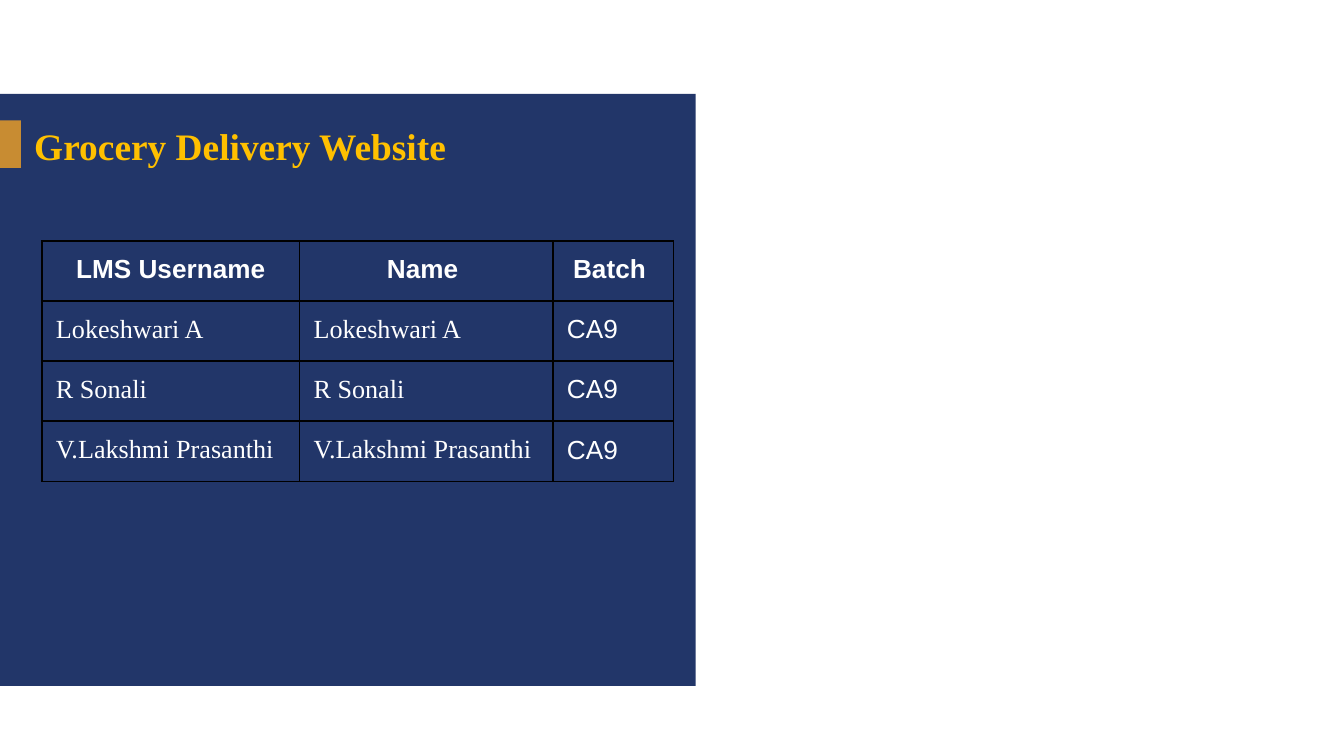
from lxml.etree import SubElement
from pptx import Presentation
from pptx.dml.color import RGBColor
from pptx.enum.shapes import MSO_SHAPE
from pptx.enum.text import MSO_ANCHOR, PP_ALIGN
from pptx.oxml.ns import qn
from pptx.util import Pt

PX = 9525  # EMU per px, 96 px to the inch
NAVY = RGBColor(0x22, 0x36, 0x69)
GOLD = RGBColor(0xC8, 0x8C, 0x32)
AMBER = RGBColor(0xFF, 0xC0, 0x00)
WHITE = RGBColor(0xFF, 0xFF, 0xFF)
BLACK = RGBColor(0x00, 0x00, 0x00)
SANS, SERIF = "Arial", "Times New Roman"

HEADS = ["LMS Username", "Name ", "Batch "]
NAMES = ["Lokeshwari A", "R Sonali", "V.Lakshmi Prasanthi"]
COLS = [184, 181, 86]
ROW = 43


def px(*vals):
    return [val * PX for val in vals]


def style(para, face, size, color, bold=False):
    font = para.font
    font.name, font.size, font.bold = face, Pt(size), bold
    font.color.rgb = color


def add_block(slide, box, color):
    block = slide.shapes.add_shape(MSO_SHAPE.RECTANGLE, *px(*box))
    block.shadow.inherit = False
    block.fill.solid()
    block.fill.fore_color.rgb = color
    block.line.fill.background()


def add_title(slide, box, text):
    frame = slide.shapes.add_textbox(*px(*box)).text_frame
    frame.word_wrap = True
    frame.vertical_anchor = MSO_ANCHOR.MIDDLE
    para = frame.paragraphs[0]
    para.text = text
    style(para, SERIF, 20, AMBER, True)


def add_border(cell):
    props = cell._tc.get_or_add_tcPr()
    for side in ("lnL", "lnR", "lnT", "lnB"):
        line = SubElement(props, qn(f"a:{side}"), w=str(Pt(1)))
        fill = SubElement(line, qn("a:solidFill"))
        SubElement(fill, qn("a:srgbClr"), val=str(BLACK))


def fill_cell(cell, text, face, head):
    cell.margin_left = cell.margin_right = 10 * PX
    cell.margin_top = cell.margin_bottom = 10 * PX
    para = cell.text_frame.paragraphs[0]
    para.text = text
    para.alignment = PP_ALIGN.CENTER if head else PP_ALIGN.LEFT
    style(para, face, 14, WHITE, head)
    # Borders come before the fill in the cell properties
    add_border(cell)
    cell.fill.background()


def add_grid(slide, left, top, rows):
    box = px(left, top, sum(COLS), ROW * len(rows))
    table = slide.shapes.add_table(len(rows), len(COLS), *box).table
    table.horz_banding = False
    for col, width in zip(table.columns, COLS):
        col.width = width * PX
    for r, row in enumerate(rows):
        table.rows[r].height = ROW * PX
        for c, text in enumerate(row):
            face = SANS if r == 0 or c == 2 else SERIF
            fill_cell(table.cell(r, c), text, face, r == 0)


def main():
    deck = Presentation()
    deck.slide_width, deck.slide_height = px(960, 540)
    slide = deck.slides.add_slide(deck.slide_layouts[6])

    # Panel and accent tab
    add_block(slide, (0, 67, 497, 423), NAVY)
    add_block(slide, (0, 86, 15, 34), GOLD)

    # Title and team table
    add_title(slide, (15, 86, 359, 36), "Grocery Delivery Website")
    add_grid(slide, 30, 172, [HEADS] + [[name, name, "CA9"] for name in NAMES])

    deck.save("out.pptx")


if __name__ == "__main__":
    main()
